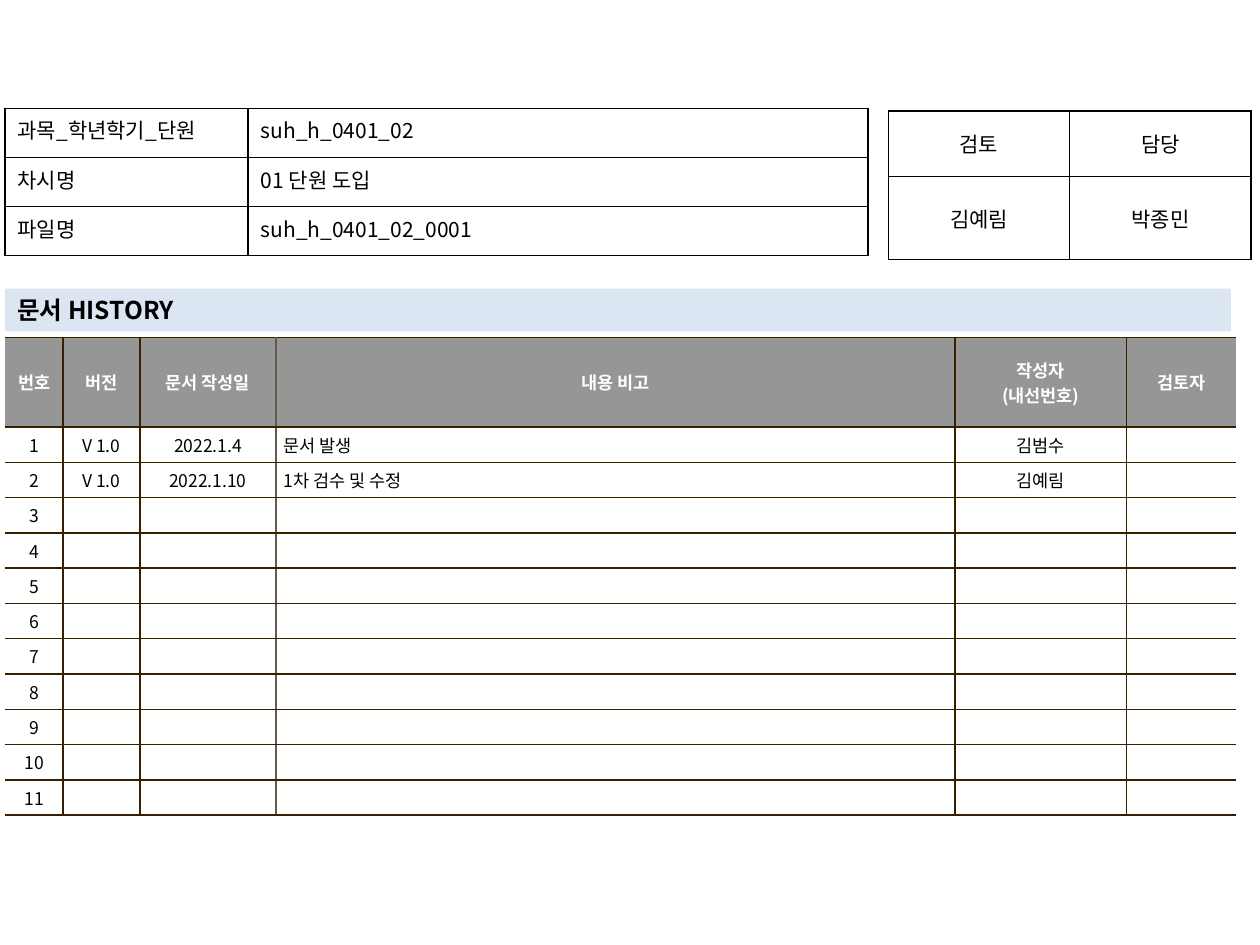
import pptx
import pptx.util
import pptx.dml.color
import pptx.enum.shapes
import pptx.enum.text
import pptx.oxml.ns
from dataclasses import dataclass
from lxml import etree

Inches, Pt = pptx.util.Inches, pptx.util.Pt
RGB = pptx.dml.color.RGBColor.from_string
ALIGN = pptx.enum.text.PP_ALIGN
MIDDLE, TOP = pptx.enum.text.MSO_ANCHOR.MIDDLE, pptx.enum.text.MSO_ANCHOR.TOP
qn = pptx.oxml.ns.qn


@dataclass
class Theme:
    font: str = "Noto Sans CJK KR"
    ink: str = "000000"
    paper: str = "FFFFFF"
    band: str = "DCE6F2"
    header: str = "969696"
    rule: str = "362000"
    soft_rule: str = "645B4C"
    title: int = 14
    label: int = 12
    small: int = 10


class Page:
    def __init__(self, prs, theme):
        self.theme = theme
        self.s = prs.slides.add_slide(prs.slide_layouts[6])

    def text(self, tf, text, size, color, bold=False, align=ALIGN.LEFT, hang=0):
        for i, line in enumerate(text.split("\n")):
            p = tf.paragraphs[0] if i == 0 else tf.add_paragraph()
            p.alignment = align
            if hang:
                pPr = p._p.get_or_add_pPr()
                pPr.set("marL", str(Inches(hang)))
                pPr.set("indent", str(-Inches(hang)))
            if not line:  # keeps an empty cell as low as its row
                etree.SubElement(p._p, qn("a:endParaRPr"), sz=str(size * 100))
                continue
            r = p.add_run()
            r.text = line
            r.font.name, r.font.size, r.font.bold = self.theme.font, Pt(size), bold
            r.font.color.rgb = RGB(color)
            ea = etree.SubElement(r._r.get_or_add_rPr(), qn("a:ea"))
            ea.set("typeface", self.theme.font)

    def band(self, x, y, w, h, text):
        sp = self.s.shapes.add_shape(pptx.enum.shapes.MSO_SHAPE.RECTANGLE,
                                     Inches(x), Inches(y), Inches(w), Inches(h))
        sp.shadow.inherit = False
        sp.fill.solid()
        sp.fill.fore_color.rgb = RGB(self.theme.band)
        sp.line.fill.background()
        tf = sp.text_frame
        tf.word_wrap = True
        tf.vertical_anchor = MIDDLE
        self.text(tf, text, self.theme.title, self.theme.ink, True)

    def table(self, x, y, cols, rows):
        t = self.s.shapes.add_table(len(rows), len(cols), Inches(x), Inches(y),
                                    Inches(sum(cols)), Inches(sum(rows))).table
        t.first_row = t.horz_banding = False
        for col, w in zip(t.columns, cols):
            col.width = Inches(w)
        for row, h in zip(t.rows, rows):
            row.height = Inches(h)
        return t

    def cell(self, c, borders, fill=None, anchor=MIDDLE, margins=(0.1, 0.05)):
        c.vertical_anchor = anchor
        c.margin_left = c.margin_right = Inches(margins[0])
        c.margin_top = c.margin_bottom = Inches(margins[1])
        if fill:
            c.fill.solid()
            c.fill.fore_color.rgb = RGB(fill)
        else:
            c.fill.background()
        # Borders come in the order left, right, top, bottom; None hides one
        tcPr = c._tc.get_or_add_tcPr()
        for i, (side, color) in enumerate(zip("LRTB", borders)):
            ln = etree.Element(qn("a:ln" + side), w=str(Pt(1)))
            if color:
                line_fill = etree.SubElement(ln, qn("a:solidFill"))
                etree.SubElement(line_fill, qn("a:srgbClr"), val=color)
            else:
                etree.SubElement(ln, qn("a:noFill"))
            tcPr.insert(i, ln)

    def info_table(self, x, y, cols, rows, texts, aligns, anchor):
        th = self.theme
        t = self.table(x, y, cols, rows)
        for i, line in enumerate(texts):
            for j, text in enumerate(line):
                c = t.cell(i, j)
                self.cell(c, [th.ink] * 4, anchor=anchor)
                self.text(c.text_frame, text, th.label, th.ink, align=aligns[j])

    def history_table(self, x, y, cols, rows, texts, note_col):
        th = self.theme
        t = self.table(x, y, cols, rows)
        # Vertical rules: open outer sides, a softer one before the notes
        rules = [None] + [th.rule] * (len(cols) - 1) + [None]
        rules[note_col] = th.soft_rule
        for i, line in enumerate(texts):
            head = i == 0
            for j, text in enumerate(line):
                c = t.cell(i, j)
                note = j == note_col and not head
                self.cell(c, [rules[j], rules[j + 1], th.rule, th.rule],
                          th.header if head else th.paper, margins=(0.06, 0.04))
                self.text(c.text_frame, text, th.small, th.paper if head else th.ink,
                          head, ALIGN.LEFT if note else ALIGN.CENTER,
                          0.19 if note else 0)


def main():
    prs = pptx.Presentation()
    prs.slide_width, prs.slide_height = Inches(10), Inches(7.5)
    page = Page(prs, Theme())

    # Document history
    entries = [("V 1.0", "2022.1.4", "문서 발생", "김범수", ""),
               ("V 1.0", "2022.1.10", "1차 검수 및 수정", "김예림", "")]
    entries += [("",) * 5] * (11 - len(entries))
    history = [("번호", "버전", "문서 작성일", "내용 비고", "작성자\n(내선번호)", "검토자")]
    history += [(str(n), *entry) for n, entry in enumerate(entries, 1)]
    page.history_table(0.04, 2.68, [0.46, 0.61, 1.08, 5.39, 1.36, 0.87],
                       [0.71] + [0.25] * len(entries), history, note_col=3)

    # Review and owner
    page.info_table(7.05, 0.88, [1.44, 1.44], [0.52, 0.66],
                    [("검토", "담당"), ("김예림", "박종민")],
                    [ALIGN.CENTER, ALIGN.CENTER], MIDDLE)

    # Section heading
    page.band(0.04, 2.29, 9.73, 0.34, "문서 HISTORY")

    # Unit, lesson and file name
    page.info_table(0.04, 0.86, [1.93, 4.92], [0.39] * 3,
                    [("과목_학년학기_단원", "suh_h_0401_02"),
                     ("차시명", "01 단원 도입"),
                     ("파일명", "suh_h_0401_02_0001")],
                    [ALIGN.JUSTIFY, ALIGN.LEFT], TOP)

    prs.save("out.pptx")


if __name__ == "__main__":
    main()
